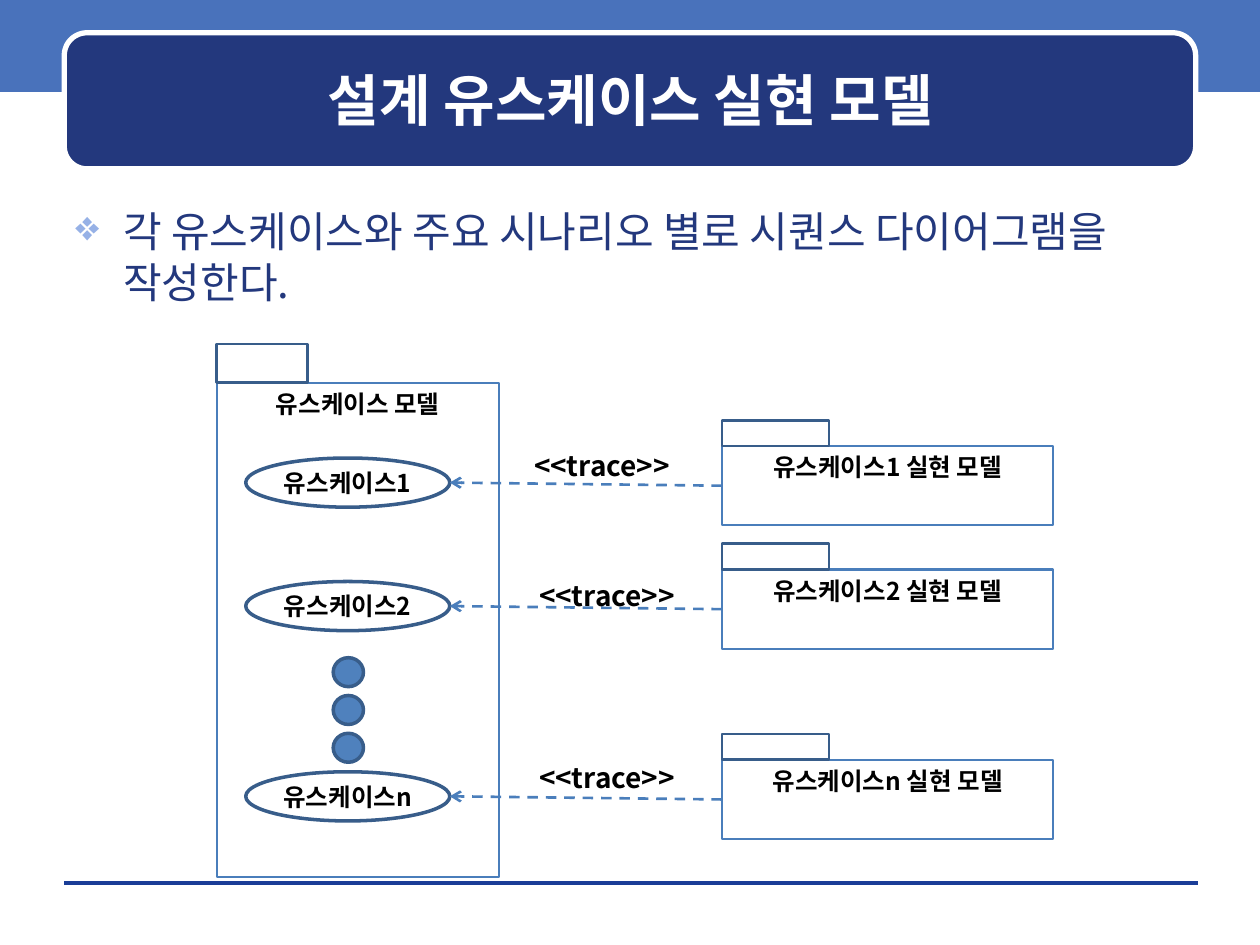
from lxml import etree
from pptx import Presentation
from pptx.dml.color import RGBColor
from pptx.enum.dml import MSO_LINE
from pptx.enum.shapes import MSO_CONNECTOR, MSO_SHAPE
from pptx.enum.text import MSO_ANCHOR, PP_ALIGN
from pptx.oxml.ns import qn
from pptx.util import Inches, Pt

RECT, ROUND, OVAL = MSO_SHAPE.RECTANGLE, MSO_SHAPE.ROUNDED_RECTANGLE, MSO_SHAPE.OVAL
STRAIGHT, DASH = MSO_CONNECTOR.STRAIGHT, MSO_LINE.DASH
TOP, MIDDLE = MSO_ANCHOR.TOP, MSO_ANCHOR.MIDDLE
LEFT, CENTER = PP_ALIGN.LEFT, PP_ALIGN.CENTER
FONT = "Noto Sans CJK KR"
COLORS = {
    "band": "4972BB", "navy": "23387D", "rule": "1A3D97", "white": "FFFFFF",
    "black": "000000", "bullet": "96B1E6", "edge": "385D8A", "link": "4A7EBB",
    "dot": "4F81BD",
}
RGB = {name: RGBColor.from_string(value) for name, value in COLORS.items()}

prs = Presentation()
prs.slide_width, prs.slide_height = Inches(10), Inches(7.5)
COL, ROW = prs.slide_width / 100, prs.slide_height / 75
s = prs.slides.add_slide(prs.slide_layouts[5])


def write(tf, text, size, color="black", bold=True, align=CENTER, anchor=TOP):
    tf.text = text
    tf.vertical_anchor = anchor
    p = tf.paragraphs[0]
    p.alignment = align
    r = p.runs[0]
    r.font.size, r.font.bold, r.font.name = Pt(size), bold, FONT
    r.font.color.rgb = RGB[color]
    etree.SubElement(r.font._element, qn("a:ea"), typeface=FONT)
    return p


def add_box(kind, x, y, w, h, fill=None, line=None, width=1):
    sp = s.shapes.add_shape(kind, round(x * COL), round(y * ROW), round(w * COL), round(h * ROW))
    sp.shadow.inherit = False
    if fill:
        sp.fill.solid()
        sp.fill.fore_color.rgb = RGB[fill]
    else:
        sp.fill.background()
    if line:
        sp.line.color.rgb = RGB[line]
        sp.line.width = Pt(width)
    else:
        sp.line.fill.background()
    sp.text_frame.word_wrap = True
    return sp


add_box(RECT, 0, -0.3, 100, 7.6, "band")
rule = s.shapes.add_connector(STRAIGHT, round(5.1 * COL), round(70.1 * ROW),
                              round(95.1 * COL), round(70.1 * ROW))
rule.line.color.rgb = RGB["rule"]
rule.line.width = Pt(0)
etree.SubElement(rule._element.spPr, qn("a:effectLst"))
add_box(ROUND, 5.1, 2.6, 89.8, 10.8, "navy", "white", 3)

title = s.shapes.title
title.left, title.top = round(6 * COL), round(3.5 * ROW)
title.width, title.height = round(88.1 * COL), round(8.8 * ROW)
write(title.text_frame, "설계 유스케이스 실현 모델", 32, "white", anchor=MIDDLE)
s.shapes._spTree.append(title._element)

body = s.shapes.add_textbox(round(5 * COL), round(15.8 * ROW), round(90 * COL), round(53.3 * ROW))
body.text_frame.word_wrap = True
p = write(body.text_frame, "각 유스케이스와 주요 시나리오 별로 시퀀스 다이어그램을 작성한다.",
          24, "navy", False, LEFT)
p.line_spacing = Pt(29)
pPr = p._p.get_or_add_pPr()
pPr.set("marL", str(Inches(0.38)))
pPr.set("indent", str(-Inches(0.38)))
bullet_color = etree.SubElement(pPr, qn("a:buClr"))
etree.SubElement(bullet_color, qn("a:srgbClr"), val=COLORS["bullet"])
etree.SubElement(pPr, qn("a:buChar"), char="❖")

model = add_box(RECT, 17.2, 30.4, 22.4, 39.2, line="link", width=1.25)
write(model.text_frame, "유스케이스 모델", 14)
add_box(RECT, 17.2, 27.3, 7.2, 3.05, line="edge", width=1.5)

for i in range(3):
    add_box(OVAL, 26.45, 52.2 + 3 * i, 2.4, 2.3, "dot", "edge", 2)

for name, y, label_x, label_y in [("1", 35.4, 41.4, 35.1), ("2", 45.2, 41.8, 45.4),
                                  ("n", 60.3, 41.8, 59.9)]:
    case = add_box(OVAL, 19.5, y + 0.95, 16.2, 3.9, line="edge", width=2)
    case.text_frame.margin_left = case.text_frame.margin_right = 0
    write(case.text_frame, f"유스케이스{name}", 14, anchor=MIDDLE)

    package = add_box(RECT, 57.3, y, 26.3, 6.3, line="link", width=1.25)
    write(package.text_frame, f"유스케이스{name} 실현 모델", 14)
    add_box(RECT, 57.3, y - 2.05, 8.5, 2.05, line="edge", width=1.5)

    trace = s.shapes.add_connector(STRAIGHT, round(57.3 * COL), round((y + 3.15) * ROW),
                                   round(35.7 * COL), round((y + 2.9) * ROW))
    trace.begin_connect(package, 1)
    trace.line.color.rgb = RGB["link"]
    trace.line.width = Pt(1.5)
    trace.line.dash_style = DASH
    etree.SubElement(trace.line._get_or_add_ln(), qn("a:tailEnd"), type="arrow")
    etree.SubElement(trace._element.spPr, qn("a:effectLst"))

    label = s.shapes.add_textbox(round(label_x * COL), round(label_y * ROW),
                                 round(12.8 * COL), round(3.7 * ROW))
    label.text_frame.word_wrap = False
    write(label.text_frame, "<<trace>>", 16, align=LEFT)

prs.save("out.pptx")
